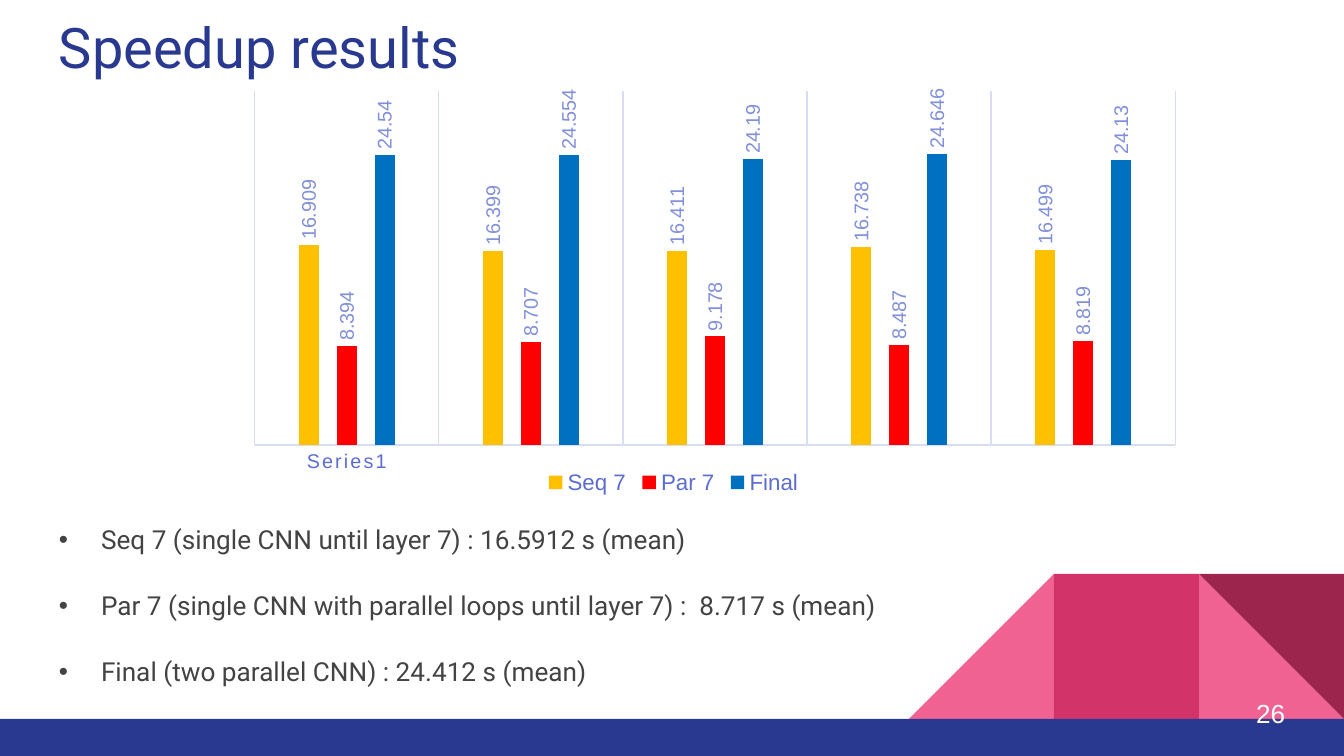
from lxml import etree
from pptx import Presentation
from pptx.chart.data import CategoryChartData
from pptx.dml.color import RGBColor
from pptx.enum.chart import (XL_CHART_TYPE, XL_LABEL_POSITION as LABEL_POS,
                             XL_LEGEND_POSITION as LEGEND_POS, XL_TICK_MARK as TICK)
from pptx.enum.shapes import MSO_SHAPE as SHAPE
from pptx.enum.text import MSO_ANCHOR as ANCHOR, MSO_AUTO_SIZE as AUTO, PP_ALIGN as ALIGN
from pptx.oxml.ns import qn
from pptx.util import Pt

NAVY, GREY, WHITE = "2A3990", "434343", "FFFFFF"
AXIS_TEXT, LABEL_TEXT, GRID = "5C6DCF", "828FDA", "D9DDF4"
TITLE = "Speedup results"
PAGE = "26"
BULLETS = [
    "Seq 7 (single CNN until layer 7) : 16.5912 s (mean)",
    "Par 7 (single CNN with parallel loops until layer 7) :  8.717 s (mean)",
    "Final (two parallel CNN) : 24.412 s (mean)",
]
CATEGORIES = ["Series1", "", "", "", ""]
SERIES = [
    ("Seq 7", "FFC000", (16.909, 16.399, 16.411, 16.738, 16.499)),
    ("Par 7", "FF0000", (8.394, 8.707, 9.178, 8.487, 8.819)),
    ("Final", "0070C0", (24.54, 24.554, 24.19, 24.646, 24.13)),
]
TILE, TILE_LEFT, TILE_TOP = 145, 909, 574
TILES = [  # column, shape, rotation, colour
    (2, SHAPE.RIGHT_TRIANGLE, 0, "F06292"),
    (0, SHAPE.RIGHT_TRIANGLE, 270, "F06292"),
    (1, SHAPE.RECTANGLE, 0, "D23369"),
    (2, SHAPE.RIGHT_TRIANGLE, 180, "9C254D"),
]


def px(n):
    """Turn picture pixels into EMU."""
    return round(n * 914400 / 134.4)


def rgb(color):
    """Turn a hex string into a colour."""
    return RGBColor.from_string(color)


def set_font(font, size, color, name="Arial"):
    """Set size, colour and typeface."""
    font.size, font.name, font.bold = Pt(size), name, False
    font.color.rgb = rgb(color)


def add_block(slide, kind, x, y, w, h, color, rotation=0):
    """Add a plain filled shape."""
    sp = slide.shapes.add_shape(kind, px(x), px(y), px(w), px(h))
    sp.shadow.inherit = False
    sp.fill.solid()
    sp.fill.fore_color.rgb = rgb(color)
    sp.line.fill.background()
    sp.rotation = rotation


def fill_text(sp, box, lines, size, color, name="Arial", anchor=ANCHOR.TOP):
    """Place a text shape and write its paragraphs."""
    sp.left, sp.top, sp.width, sp.height = map(px, box)
    tf = sp.text_frame
    tf.word_wrap, tf.auto_size, tf.vertical_anchor = True, AUTO.NONE, anchor
    tf.margin_left = tf.margin_right = tf.margin_top = tf.margin_bottom = px(13)
    for i, line in enumerate(lines):
        p = tf.paragraphs[0] if i == 0 else tf.add_paragraph()
        p.alignment, p.space_before = ALIGN.LEFT, Pt(0)
        r = p.add_run()
        r.text = line
        set_font(r.font, size, color, name)
    return tf.paragraphs


def set_bullet(p, color, indent):
    """Give a paragraph a round bullet and a hanging indent."""
    pPr = p._p.get_or_add_pPr()
    pPr.set("marL", str(px(indent)))
    pPr.set("indent", str(-px(indent)))
    clr = etree.SubElement(pPr, qn("a:buClr"))
    etree.SubElement(clr, qn("a:srgbClr"), val=color)
    etree.SubElement(pPr, qn("a:buFont"), typeface="Arial")
    etree.SubElement(pPr, qn("a:buChar"), char="•")


def set_layout(parent, index, x, y, w, h, inner=False):
    """Fix the place of a chart part as shares of the chart."""
    for old in parent.findall(qn("c:layout")):
        parent.remove(old)
    layout = etree.Element(qn("c:layout"))
    manual = etree.SubElement(layout, qn("c:manualLayout"))
    values = [("layoutTarget", "inner")] if inner else []
    values += [("xMode", "edge"), ("yMode", "edge"), ("x", x), ("y", y), ("w", w), ("h", h)]
    for tag, value in values:
        etree.SubElement(manual, qn("c:" + tag), val=str(value))
    parent.insert(index, layout)


def add_speed_chart(slide):
    """Add the clustered columns with upright value labels."""
    data = CategoryChartData()
    data.categories = CATEGORIES
    for name, _, values in SERIES:
        data.add_series(name, values)
    chart = slide.shapes.add_chart(XL_CHART_TYPE.COLUMN_CLUSTERED,
                                   px(254), px(60), px(922), px(472), data).chart
    set_font(chart.font, 10, NAVY)
    chart.has_title = False

    plot = chart.plots[0]
    plot.gap_width, plot.overlap, plot.vary_by_categories = 444, -90, False
    for series, (_, color, _) in zip(plot.series, SERIES):
        series.format.fill.solid()
        series.format.fill.fore_color.rgb = rgb(color)
        labels = series.data_labels
        labels.show_value, labels.position = True, LABEL_POS.OUTSIDE_END
        set_font(labels.font, 10.6, LABEL_TEXT)
        body = labels._element.find(".//" + qn("a:bodyPr"))
        body.set("rot", "-5400000")
        body.set("vert", "horz")

    axis = chart.category_axis
    axis.major_tick_mark = axis.minor_tick_mark = TICK.NONE
    axis.has_major_gridlines = True
    for line in (axis.format.line, axis.major_gridlines.format.line):
        line.color.rgb, line.width = rgb(GRID), Pt(0.75)
    set_font(axis.tick_labels.font, 10.6, AXIS_TEXT)
    axis._element.find(".//" + qn("a:defRPr")).set("spc", "120")
    values = chart.value_axis
    values.visible, values.has_major_gridlines = False, False
    values.minimum_scale, values.maximum_scale = 0, 30

    chart.has_legend = True
    legend = chart.legend
    legend.position, legend.include_in_layout = LEGEND_POS.TOP, False
    set_font(legend.font, 12, AXIS_TEXT)
    set_layout(legend._element, 1, 0.31, 0.86, 0.29, 0.07)
    plot_area = chart._chartSpace.find(".//" + qn("c:plotArea"))
    set_layout(plot_area, 0, 0, 0.065, 1, 0.751, inner=True)


prs = Presentation()
prs.slide_width, prs.slide_height = px(1344), px(756)
slide = prs.slides.add_slide(prs.slide_layouts[1])
title, body = slide.placeholders

for column, kind, rotation, color in TILES:
    add_block(slide, kind, TILE_LEFT + column * TILE, TILE_TOP, TILE, TILE, color, rotation)
add_block(slide, SHAPE.RECTANGLE, 0, 719, 1344, 37, NAVY)

fill_text(title, (46, 0, 1252, 89), [TITLE], 30, NAVY, "Roboto")
for p in fill_text(body, (46, 506, 1252, 200), BULLETS, 14, GREY, "Roboto"):
    p.line_spacing, p.space_after = 1.15, Pt(16)
    set_bullet(p, GREY, 42)

add_speed_chart(slide)
page = slide.shapes.add_textbox(0, 0, 0, 0)
fill_text(page, (1243, 684, 81, 58), [PAGE], 14, WHITE, anchor=ANCHOR.MIDDLE)

prs.save("out.pptx")
